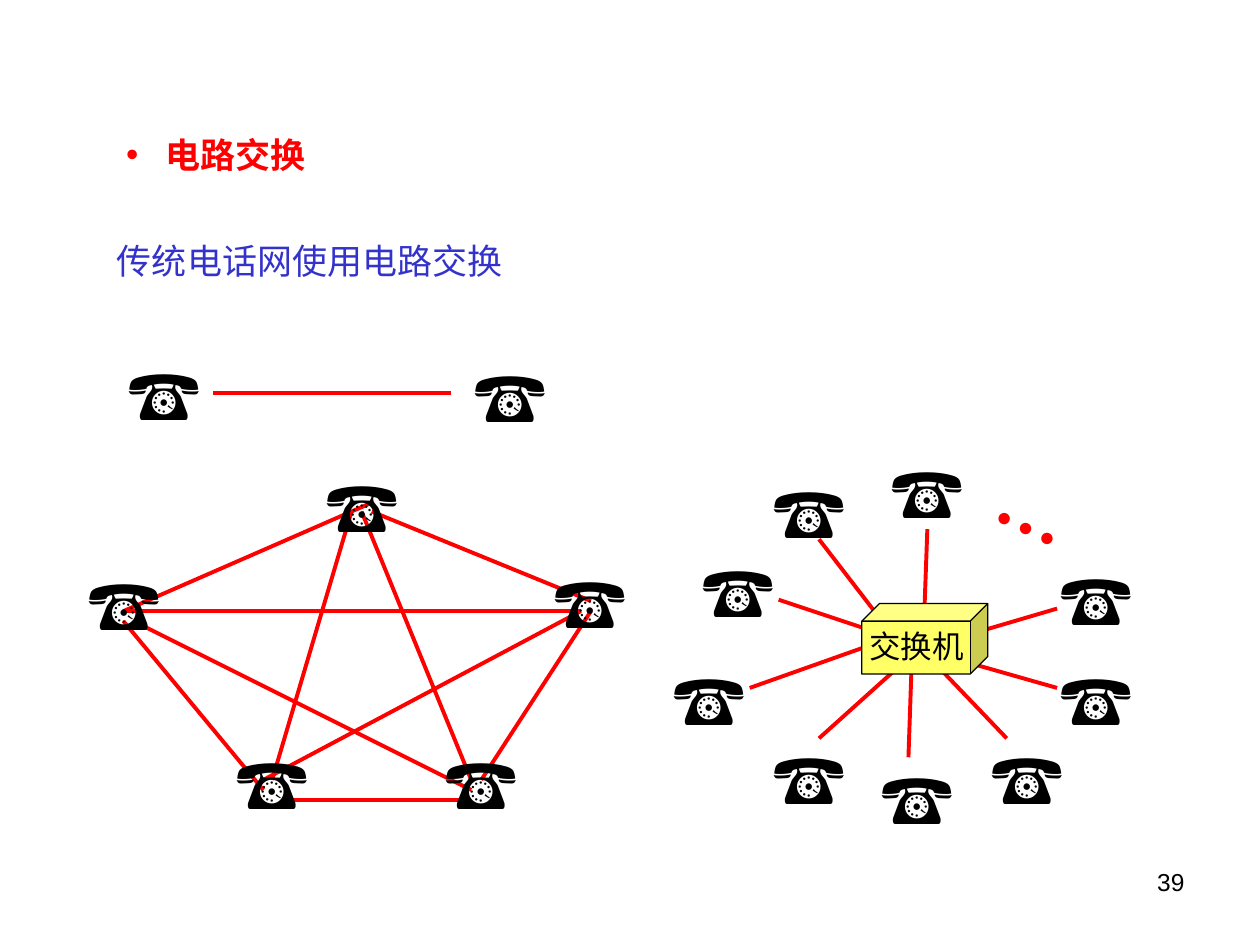
"""Build a slide on circuit switching with linked telephones around a switch."""
from lxml import etree
from pptx import Presentation
from pptx.dml.color import RGBColor
from pptx.enum.shapes import MSO_CONNECTOR, MSO_SHAPE
from pptx.enum.text import MSO_ANCHOR, MSO_AUTO_SIZE, PP_ALIGN
from pptx.oxml.ns import qn
from pptx.util import Inches, Pt

LINE = MSO_CONNECTOR.STRAIGHT
CUBE = MSO_SHAPE.CUBE
MID = MSO_ANCHOR.MIDDLE
GROW, FIXED = MSO_AUTO_SIZE.SHAPE_TO_FIT_TEXT, MSO_AUTO_SIZE.NONE
LEFT, RIGHT = PP_ALIGN.LEFT, PP_ALIGN.RIGHT
INK = {name: RGBColor.from_string(code) for name, code in {
    "red": "FF0000", "blue": "3333CC", "black": "000000", "yellow": "FFFF66"}.items()}
SERIF, SANS = "Times New Roman", "Arial"

deck = Presentation()
deck.slide_width, deck.slide_height = Inches(10), Inches(7.5)
COL = deck.slide_width / 100
ROW = deck.slide_height / 75
slide = deck.slides.add_slide(deck.slide_layouts[5])
shapes = slide.shapes


def grid(*spots):
    return [round(spot * (ROW if i % 2 else COL)) for i, spot in enumerate(spots)]


def label(words, spot, size, face, ink, wrap=False, bold=False, align=LEFT):
    box = shapes.add_textbox(*grid(*spot))
    frame = box.text_frame
    frame.text = words
    frame.word_wrap = wrap
    frame.auto_size = FIXED if wrap else GROW
    para = frame.paragraphs[0]
    para.alignment = align
    font = para.runs[0].font
    font.size, font.name, font.bold = Pt(size), face, bold
    font.color.rgb = INK[ink]
    return box


title = shapes.title
title.left, title.top, title.width, title.height = grid(9, 9.1, 83.5, 6.3)
frame = title.text_frame
frame.text = "电路交换"
frame.vertical_anchor = MID
head = frame.paragraphs[0]
head.alignment = LEFT
props = head._p.get_or_add_pPr()
props.set("marL", str(Inches(0.31)))
props.set("indent", str(-Inches(0.31)))
tint = etree.SubElement(props, qn("a:buClr"))
etree.SubElement(tint, qn("a:srgbClr")).set("val", str(INK["red"]))
etree.SubElement(props, qn("a:buFont")).set("typeface", SANS)
etree.SubElement(props, qn("a:buChar")).set("char", "•")
font = head.runs[0].font
font.size, font.name, font.bold = Pt(20), SERIF, True
font.color.rgb = INK["red"]

label("传统电话网使用电路交换", (8.3, 18.5, 85, 4.8), 20, SERIF, "blue", wrap=True)

pair = [(16.9, 31.2, 35.8, 31.2)]
spokes = [
    (75.4, 50.8, 83.9, 48.3), (83.9, 54.6, 73.7, 51.7), (72.1, 60.1, 72.4, 51.4),
    (65, 58.6, 72.9, 51.5), (59.5, 54.6, 70.5, 50.7), (65, 42.8, 70.7, 50.2),
    (73.3, 50.3, 73.6, 42), (61.8, 47.6, 71.1, 50.7), (79.9, 58.6, 73, 51.4)]
mesh = [
    (27.9, 40.6, 21.6, 61.9), (10.6, 49.3, 37.4, 62.7), (9.8, 49.3, 20.9, 62.7),
    (9.8, 48.5, 29.5, 39.9), (9.8, 48.5, 46.1, 48.5), (29.5, 40.6, 46.9, 47.7),
    (22.4, 63.5, 37.4, 63.5), (38.2, 61.9, 46.9, 48.5), (28.7, 40.6, 37.4, 61.9),
    (20.9, 61.9, 46.1, 48.5)]
for ends in pair + spokes + mesh:
    wire = shapes.add_connector(LINE, *grid(*ends))
    wire.line.color.rgb = INK["red"]
    wire.line.width = Pt(2.25)
    etree.SubElement(wire._element.spPr, qn("a:effectLst"))

phones = [
    (9.2, 27.3), (36.7, 27.5),
    (69.8, 35.1), (60.4, 36.7), (54.8, 43), (52.5, 51.5), (60.4, 57.8),
    (69, 59.4), (77.7, 57.8), (83.2, 51.5), (83.2, 43.6),
    (24.9, 36.2), (6, 44), (17.8, 58.2), (43, 43.8), (34.4, 58.2)]
for left, top in phones:
    label("☎", (left, top, 9.2, 7.7), 40, SANS, "black")

dots = label("…", (78.4, 36.5, 7.5, 7.7), 40, SERIF, "red", bold=True)
dots.rotation = 24.9

switch = shapes.add_shape(CUBE, *grid(68.4, 47.9, 10, 5.6))
switch.shadow.inherit = False
switch.fill.solid()
switch.fill.fore_color.rgb = INK["yellow"]
switch.line.color.rgb = INK["black"]
switch.line.width = Pt(0.75)
label("交换机", (68, 49.3, 9.5, 4), 18, SERIF, "black")

label("39", (71.7, 68.3, 23.3, 5.2), 14, SANS, "black", wrap=True, align=RIGHT)

deck.save("out.pptx")
